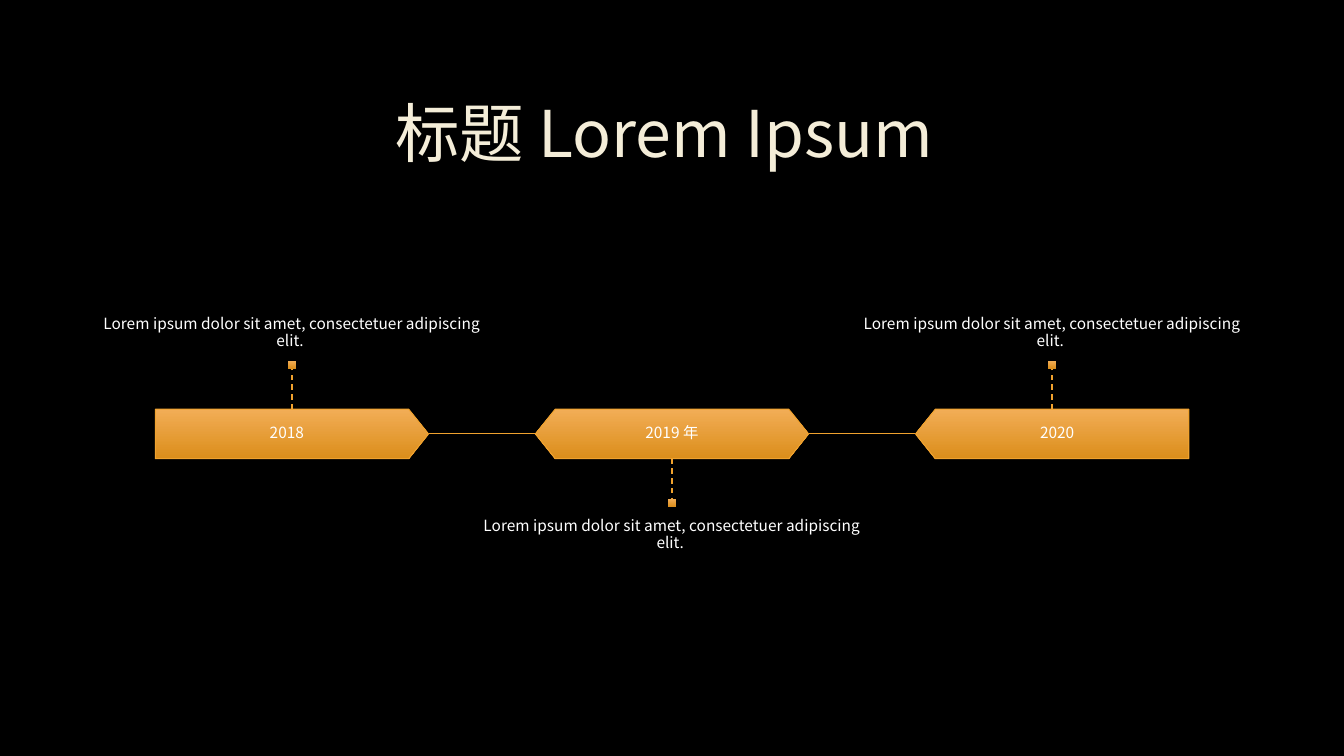
from lxml import etree
from pptx import Presentation
from pptx.dml.color import RGBColor
from pptx.enum.dml import MSO_LINE
from pptx.enum.shapes import MSO_CONNECTOR, MSO_SHAPE as SHAPE
from pptx.enum.text import MSO_ANCHOR as ANCHOR, MSO_AUTO_SIZE, PP_ALIGN
from pptx.oxml import parse_xml
from pptx.oxml.ns import nsdecls, qn
from pptx.util import Inches, Pt

FONT = "Noto Sans CJK SC"
AMBER = "F0A22E"
AMBER_STOPS = ("F2AD56", "DB8E1B")
WHITE = "FFFFFF"

# Timeline grid, in inches
COLUMN = 3.77
GRID_LEFT = 1.01
BAR_TOP, BAR_WIDTH, BAR_HEIGHT = 4.06, 2.71, 0.49
BAR_BOTTOM = BAR_TOP + BAR_HEIGHT
STEM, MARKER, NOTE_HEIGHT = 0.4, 0.08, 1.3
NOTE = "Lorem ipsum dolor sit amet, consectetuer adipiscing elit."


def color(hex_string):
    return RGBColor.from_string(hex_string)


def write(box, text, size, hex_string, anchor, margins):
    frame = box.text_frame
    frame.text = text
    frame.word_wrap = True
    frame.auto_size = MSO_AUTO_SIZE.NONE
    frame.vertical_anchor = anchor
    frame.margin_left = frame.margin_right = Inches(margins[0])
    frame.margin_top = frame.margin_bottom = Inches(margins[1])
    paragraph = frame.paragraphs[0]
    paragraph.alignment = PP_ALIGN.CENTER
    paragraph.line_spacing = 0.9
    font = paragraph.runs[0].font
    font.size, font.name = Pt(size), FONT
    font.color.rgb = color(hex_string)
    etree.SubElement(font._element, qn("a:ea")).set("typeface", FONT)
    return paragraph


deck = Presentation()
deck.slide_width, deck.slide_height = Inches(13.33), Inches(7.5)
slide = deck.slides.add_slide(deck.slide_layouts[5])
slide.background.fill.solid()
slide.background.fill.fore_color.rgb = color("000000")
shapes = slide.shapes

# Title with a faint outline around the letters
title = shapes.title
title.left, title.top = Inches(1), Inches(0.67)
title.width, title.height = Inches(11.32), Inches(1.38)
heading = write(title, "标题 Lorem Ipsum ", 46, "F4EDD8", ANCHOR.MIDDLE, (0.1, 0.05))
heading.runs[0].font._element.insert(0, parse_xml(
    f'<a:ln {nsdecls("a")} w="9525"><a:solidFill><a:srgbClr val="404040">'
    '<a:alpha val="10000"/></a:srgbClr></a:solidFill></a:ln>'))

# Year, outline, rotation, label width, label shift, note above the bar
milestones = [
    ("2018", SHAPE.PENTAGON, 0, 2.62, -0.05, True),
    ("2019 年", SHAPE.HEXAGON, 0, 2.13, 0, False),
    ("2020", SHAPE.PENTAGON, 180, 2.62, 0.05, True),
]
for column, (year, outline, turn, label_width, shift, above) in enumerate(milestones):
    column_left = GRID_LEFT + column * COLUMN
    center = column_left + COLUMN / 2
    bar_left = center - BAR_WIDTH / 2

    # Bar, and the square marker at the end of its stem
    stem_start = BAR_TOP if above else BAR_BOTTOM
    stem_end = BAR_TOP - STEM if above else BAR_BOTTOM + STEM
    marker_top = stem_end - MARKER if above else stem_end
    bar = shapes.add_shape(outline, Inches(bar_left), Inches(BAR_TOP),
                           Inches(BAR_WIDTH), Inches(BAR_HEIGHT))
    bar.adjustments[0] = 0.4
    bar.rotation = turn
    bar.line.color.rgb = color(AMBER)
    bar.line.width = Pt(0.75)
    marker = shapes.add_shape(SHAPE.RECTANGLE, Inches(center - MARKER / 2),
                              Inches(marker_top), Inches(MARKER), Inches(MARKER))
    marker.line.fill.background()
    for part in (bar, marker):
        part.shadow.inherit = False
        part.fill.gradient()
        part.fill.gradient_angle = 270
        for stop, shade in zip(part.fill.gradient_stops, AMBER_STOPS):
            stop.color.rgb = color(shade)
        # Keep the light edge on top when the bar is turned
        part._element.spPr.find(qn("a:gradFill")).set("rotWithShape", "0")

    # Dashed stem, and the link to the next bar
    lines = [(center, stem_start, center, stem_end, 1, MSO_LINE.DASH)]
    if column < len(milestones) - 1:
        middle = BAR_TOP + BAR_HEIGHT / 2
        lines.append((bar_left + BAR_WIDTH, middle, bar_left + COLUMN, middle, 0.75, None))
    for *ends, weight, dash in lines:
        line = shapes.add_connector(MSO_CONNECTOR.STRAIGHT, *map(Inches, ends))
        line.line.color.rgb = color(AMBER)
        line.line.width = Pt(weight)
        line.line.dash_style = dash
        etree.SubElement(line._element.spPr, qn("a:effectLst"))

    # Year label and note
    label = shapes.add_textbox(Inches(center + shift - label_width / 2), Inches(BAR_TOP),
                               Inches(label_width), Inches(BAR_HEIGHT))
    note_top = marker_top - NOTE_HEIGHT if above else marker_top + MARKER
    note = shapes.add_textbox(Inches(column_left), Inches(note_top),
                              Inches(COLUMN), Inches(NOTE_HEIGHT))
    note_anchor = ANCHOR.BOTTOM if above else ANCHOR.TOP
    for box, text, anchor, margins in ((label, year, ANCHOR.MIDDLE, (0.09, 0.09)),
                                       (note, NOTE + " ", note_anchor, (0, 0.11))):
        write(box, text, 11, WHITE, anchor, margins).space_after = Pt(4)

deck.save("out.pptx")
